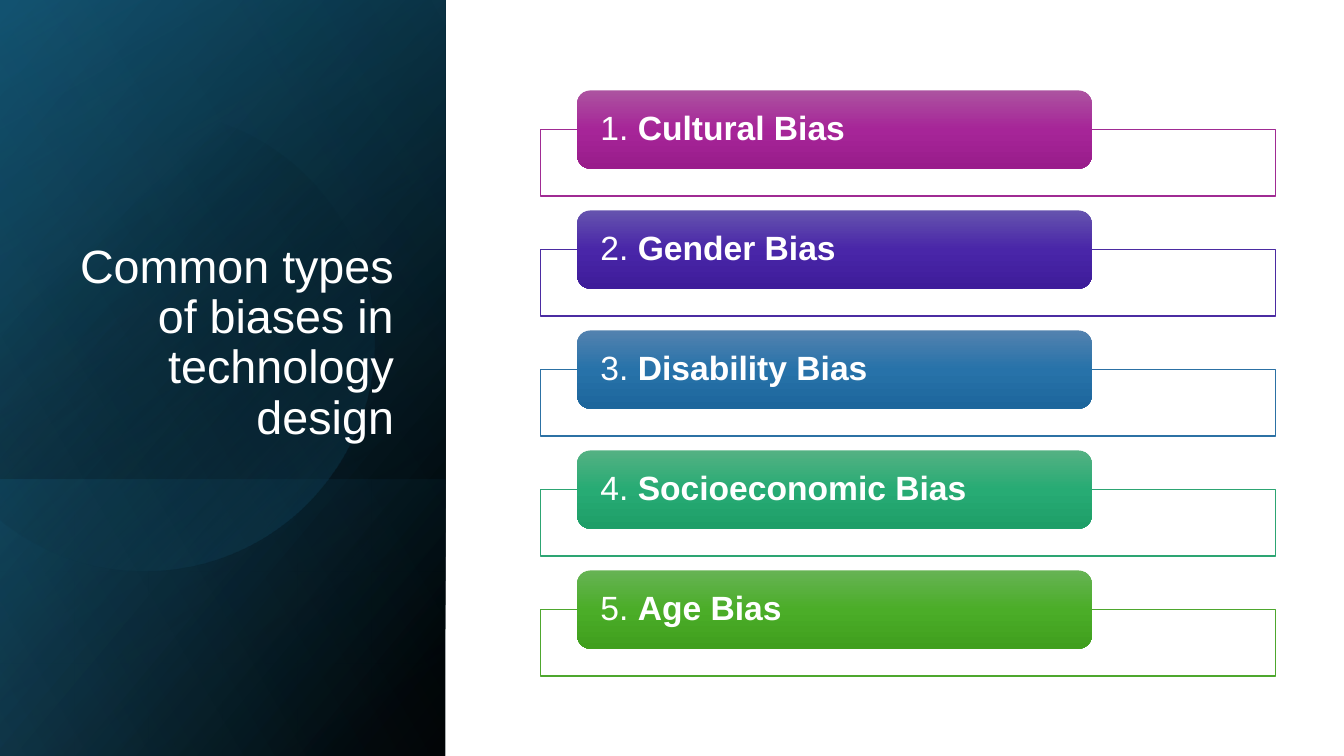
from math import cos, radians, sin, tan

from lxml import etree
from pptx import Presentation
from pptx.dml.color import RGBColor
from pptx.enum.shapes import MSO_SHAPE
from pptx.enum.text import MSO_ANCHOR, MSO_AUTO_SIZE, PP_ALIGN
from pptx.oxml.ns import qn
from pptx.util import Pt

RECTANGLE = MSO_SHAPE.RECTANGLE
ROUNDED = MSO_SHAPE.ROUNDED_RECTANGLE
MIDDLE, BOTTOM = MSO_ANCHOR.MIDDLE, MSO_ANCHOR.BOTTOM
LEFT, RIGHT = PP_ALIGN.LEFT, PP_ALIGN.RIGHT
NO_AUTOSIZE = MSO_AUTO_SIZE.NONE

FONT = "Arial"
WHITE = "FFFFFF"
FULL_PANEL = (-110.9, 110.9, 540, 318.2)
LOWER_PANEL = (60.4, 282.3, 197.3, 318.2)
BIASES = [
    ("Cultural Bias", "A02B93", ("AC53A0", "A62598", "991C8B")),
    ("Gender Bias", "4B2CA2", ("6553AE", "4926A8", "3E1C9A")),
    ("Disability Bias", "2C71A4", ("5382AF", "2772A9", "1D669C")),
    ("Socioeconomic Bias", "2DA573", ("54B183", "27AB74", "1E9E68")),
    ("Age Bias", "4EA72E", ("66B354", "4BAD28", "409F1E")),
]
FIRST_TOP = 64.6
PITCH = 85.72


def color(value):
    return RGBColor.from_string(value)


def set_alpha(color_element, percent):
    etree.SubElement(color_element, qn("a:alpha")).set("val", str(percent * 1000))


def fill_gradient(shape, stops, angle):
    shape.shadow.inherit = False
    shape.line.fill.background()
    shape.fill.background()
    no_fill = shape._element.spPr.find(qn("a:noFill"))
    gradient = etree.Element(qn("a:gradFill"), rotWithShape="1")
    stop_list = etree.SubElement(gradient, qn("a:gsLst"))
    for position, value, alpha in stops:
        stop = etree.SubElement(stop_list, qn("a:gs"), pos=str(position * 1000))
        stop_color = etree.SubElement(stop, qn("a:srgbClr"), val=value)
        if alpha < 100:
            set_alpha(stop_color, alpha)
    etree.SubElement(gradient, qn("a:lin"), ang=str(angle * 60000), scaled="0")
    shape._element.spPr.replace(no_fill, gradient)


def add_shape(slide, kind, box):
    return slide.shapes.add_shape(kind, *(Pt(length) for length in box))


def add_panel(slide, box, stops, angle, flipped=True):
    panel = add_shape(slide, RECTANGLE, box)
    panel.rotation = 90
    if flipped:
        panel._element.spPr.find(qn("a:xfrm")).set("flipH", "1")
    fill_gradient(panel, stops, angle)


def arc_points(center_x, center_y, radius, start, sweep, count):
    step = radians(sweep / count)
    handle = 4 / 3 * tan(step / 4)

    def point(angle, pull):
        return (Pt(center_x + radius * (cos(angle) - pull * sin(angle))),
                Pt(center_y + radius * (sin(angle) + pull * cos(angle))))

    points = [point(radians(start), 0)]
    for index in range(count):
        begin = radians(start) + index * step
        end = begin + step
        points += [point(begin, handle), point(end, -handle), point(end, 0)]
    return points


def curve_segments(freeform):
    lines = list(freeform._element.iter(qn("a:lnTo")))
    for first in range(0, len(lines), 3):
        curve = etree.Element(qn("a:cubicBezTo"))
        lines[first].addprevious(curve)
        for line in lines[first:first + 3]:
            curve.append(line[0])
            line.getparent().remove(line)


def add_cut_circle(slide):
    points = arc_points(103, 243, 164.5, -134, 268, 4)
    builder = slide.shapes.build_freeform(*points[0])
    builder.add_line_segments(points[1:], close=False)
    circle = builder.convert_to_shape()
    curve_segments(circle)
    etree.SubElement(next(circle._element.iter(qn("a:path"))), qn("a:close"))
    fill_gradient(circle, [(29, "000000", 0), (100, "156082", 43)], 46)


def format_title(slide, text):
    title = slide.shapes.title
    title.left, title.top = Pt(43.2), Pt(132.5)
    title.width, title.height = Pt(245.5), Pt(188.6)
    frame = title.text_frame
    frame.text = text
    frame.word_wrap = True
    frame.auto_size = NO_AUTOSIZE
    frame.vertical_anchor = BOTTOM
    paragraph = frame.paragraphs[0]
    paragraph.alignment = RIGHT
    paragraph.line_spacing = 0.9
    paragraph.font.name = FONT
    paragraph.font.size = Pt(33.3)
    paragraph.font.color.rgb = color(WHITE)
    slide.shapes._spTree.append(title._element)


def add_frame(slide, top, line_color):
    frame = add_shape(slide, RECTANGLE, (386, top, 525, 47.6))
    frame.shadow.inherit = False
    frame.fill.solid()
    frame.fill.fore_color.rgb = color(WHITE)
    set_alpha(frame._element.spPr.find(qn("a:solidFill"))[0], 90)
    frame.line.color.rgb = color(line_color)
    frame.line.width = Pt(1)


def add_label(slide, top, number, name, shades):
    label = add_shape(slide, ROUNDED, (412.3, top, 367.5, 55.8))
    stops = [(50 * index, shade, 100) for index, shade in enumerate(shades)]
    fill_gradient(label, stops, 90)
    frame = label.text_frame
    frame.word_wrap = True
    frame.vertical_anchor = MIDDLE
    frame.margin_left = frame.margin_right = Pt(13.9)
    frame.margin_top = frame.margin_bottom = 0
    paragraph = frame.paragraphs[0]
    paragraph.alignment = LEFT
    paragraph.line_spacing = 0.9
    paragraph.font.name = FONT
    paragraph.font.size = Pt(24)
    paragraph.font.color.rgb = color(WHITE)
    paragraph.add_run().text = f"{number}. "
    name_run = paragraph.add_run()
    name_run.text = name
    name_run.font.bold = True


def main():
    presentation = Presentation()
    presentation.slide_width, presentation.slide_height = Pt(960), Pt(540)
    slide = presentation.slides.add_slide(presentation.slide_layouts[5])

    add_panel(slide, FULL_PANEL, [(8, "000000", 100), (100, "104862", 100)], 50)
    add_panel(slide, FULL_PANEL, [(0, "000000", 0), (99, "156082", 46)], 30)
    add_panel(slide, LOWER_PANEL, [(2, "156082", 29), (100, "000000", 30)], 310,
              flipped=False)
    add_cut_circle(slide)
    add_panel(slide, FULL_PANEL, [(0, "000000", 0), (99, "46B1E1", 11)], 120)
    format_title(slide, "Common types of biases in technology design")

    for index, (name, line_color, shades) in enumerate(BIASES):
        top = FIRST_TOP + index * PITCH
        add_frame(slide, top + 27.8, line_color)
        add_label(slide, top, index + 1, name, shades)

    presentation.save("out.pptx")


if __name__ == "__main__":
    main()
